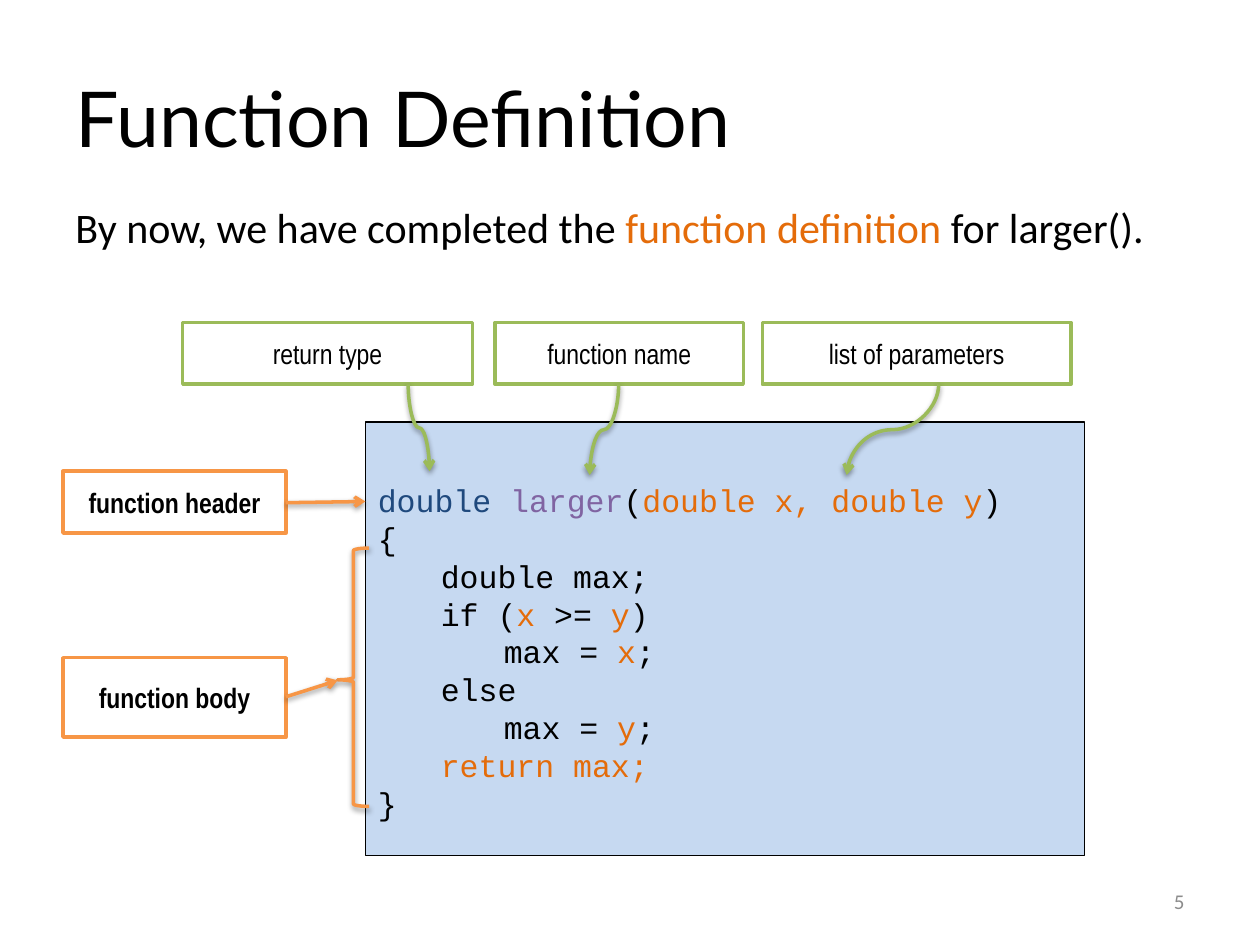
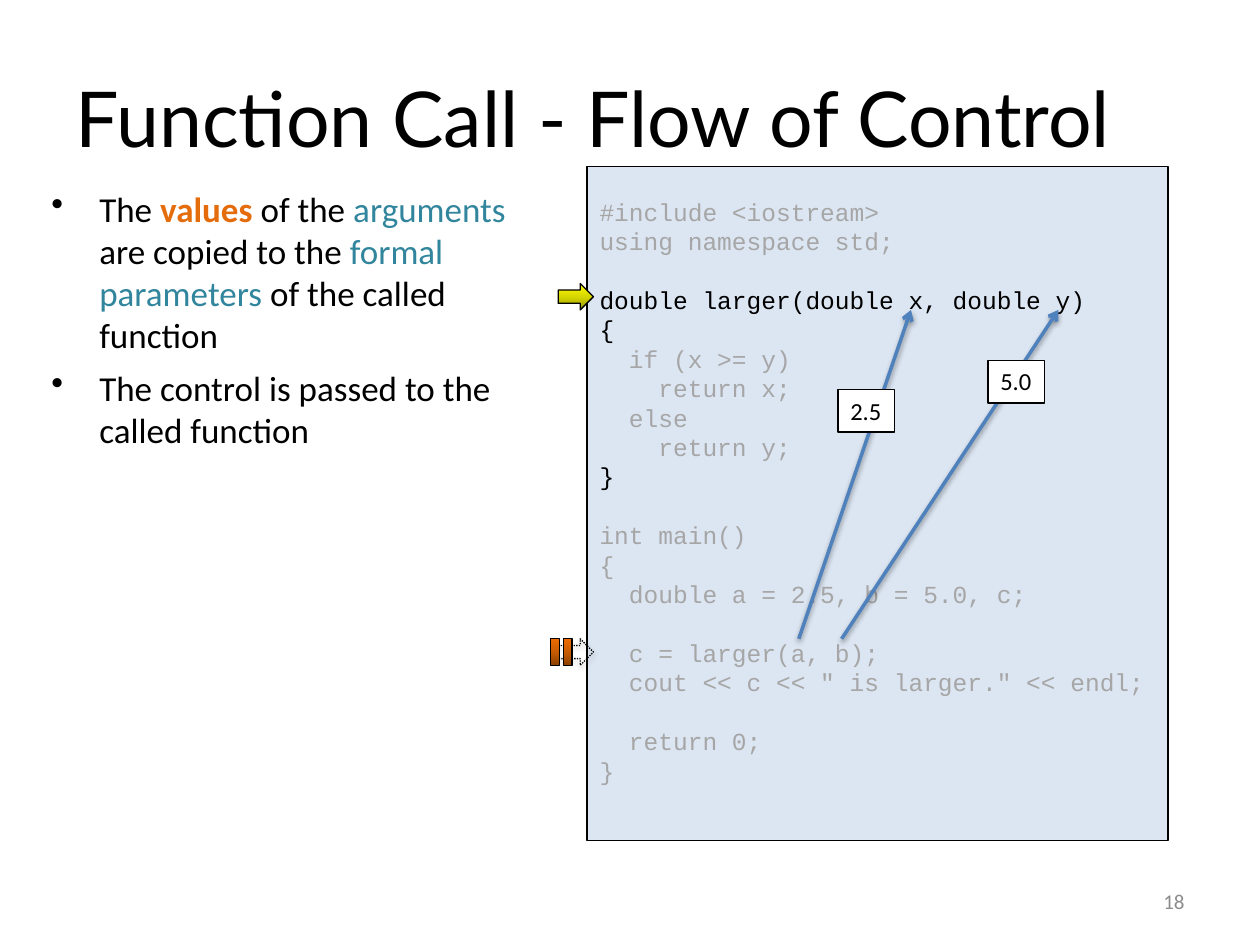
from copy import deepcopy

from lxml.etree import SubElement
from pptx import Presentation
from pptx.dml.color import RGBColor
from pptx.enum.dml import MSO_LINE
from pptx.enum.shapes import MSO_CONNECTOR, MSO_SHAPE
from pptx.enum.text import MSO_ANCHOR, PP_ALIGN
from pptx.oxml.ns import qn
from pptx.util import Emu, Pt

PX = 9144  # 100 px to the inch

BLACK, WHITE, GREY, FADED = "000000", "FFFFFF", "8C8C8C", "A6A6A6"
ORANGE_TEXT, TEAL, NAVY, PURPLE = "E46C0A", "31859C", "1F497D", "8064A2"
ORANGE, GREEN, BLUE = "F79646", "9BBB59", "4F81BD"
CODE_BLUE, CODE_PALE = "C6D9F1", "DCE6F2"
YELLOW_FADE = ("979700", "D7D700", "FFFF00")
ORANGE_FADE = ("8D4000", "C85B00", "EE6B00")
TITLE_FONT, BODY_FONT, CODE_FONT, LABEL_FONT = "Lato", "Calibri", "Courier New", "Arial Narrow"


def px(length):
    return Emu(round(length * PX))


def rgb(color):
    return RGBColor.from_string(color)


def add_element(parent, tag, **attributes):
    return SubElement(parent, qn(tag), {key: str(value) for key, value in attributes.items()})


def write_text(frame, paragraphs, size=18, font=BODY_FONT, color=BLACK, bold=False,
               align=PP_ALIGN.LEFT, anchor=MSO_ANCHOR.TOP, wrap=True, line_pitch=None,
               space_before=0, bullet_indent=0, tabs=()):
    """Write paragraphs made of runs; a run is text or (text, color, bold).

    An empty paragraph becomes one line of space before the next one.
    """
    frame.word_wrap, frame.vertical_anchor = wrap, anchor
    blank_space, first = 0, True
    for runs in paragraphs:
        if not runs:
            blank_space = line_pitch
            continue
        paragraph = frame.paragraphs[0] if first else frame.add_paragraph()
        properties = paragraph._p.get_or_add_pPr()
        if bullet_indent:
            properties.set("marL", str(px(bullet_indent)))
            properties.set("indent", str(px(-bullet_indent)))
            add_element(add_element(properties, "a:buClr"), "a:srgbClr", val=BLACK)
            add_element(properties, "a:buChar", char="•")
        if tabs:
            tab_list = add_element(properties, "a:tabLst")
            for position in tabs:
                add_element(tab_list, "a:tab", pos=px(position), algn="l")
        paragraph.alignment = align
        paragraph.space_before = Pt(0 if first else space_before + blank_space)
        if line_pitch:
            paragraph.line_spacing = Pt(line_pitch)
        for part in [runs] if isinstance(runs, str) else runs:
            text, run_color, run_bold = ((part,) if isinstance(part, str) else part) + (None,) * (
                2 if isinstance(part, str) else 3 - len(part))
            run = paragraph.add_run()
            run.text = text
            run.font.name, run.font.size = font, Pt(size)
            run.font.bold = bold if run_bold is None else run_bold
            run.font.color.rgb = rgb(run_color or color)
        blank_space, first = 0, False


class Deck:
    def __init__(self):
        self.presentation = Presentation()
        self.presentation.slide_width, self.presentation.slide_height = px(1000), px(750)
        self.slide = None

    def new_slide(self, title, number):
        self.slide = self.presentation.slides.add_slide(self.presentation.slide_layouts[5])
        shape = self.slide.shapes.title
        shape.left, shape.top, shape.width, shape.height = map(px, (50, 30, 900, 125))
        write_text(shape.text_frame, [title], size=44, font=TITLE_FONT, anchor=MSO_ANCHOR.MIDDLE)
        self.text([number], 717, 695, 233, 40, size=12, color=GREY,
                  align=PP_ALIGN.RIGHT, anchor=MSO_ANCHOR.MIDDLE)

    def text(self, paragraphs, left, top, width, height, **text_format):
        box = self.slide.shapes.add_textbox(*map(px, (left, top, width, height)))
        write_text(box.text_frame, paragraphs, **text_format)

    def shape(self, kind, left, top, width, height, fill=None, line=BLACK, weight=0.75):
        shape = self.slide.shapes.add_shape(kind, *map(px, (left, top, width, height)))
        shape.shadow.inherit = False
        shape.line.color.rgb, shape.line.width = rgb(line), Pt(weight)
        if isinstance(fill, tuple):
            self.fade(shape, fill)
        elif fill:
            shape.fill.solid()
            shape.fill.fore_color.rgb = rgb(fill)
        else:
            shape.fill.background()
        return shape

    def fade(self, shape, colors):
        """Fill from the bottom up through three colours."""
        shape.fill.gradient()
        shape.fill.gradient_angle = 90
        first_stop = shape._element.spPr.find(qn("a:gradFill")).find(qn("a:gsLst"))[0]
        first_stop.addnext(deepcopy(first_stop))
        for stop, color, position in zip(shape.fill.gradient_stops, colors, (0, 0.5, 1)):
            stop.color.rgb, stop.position = rgb(color), position

    def cast_shadow(self, shape):
        properties = shape._element.spPr
        effects = properties.find(qn("a:effectLst"))
        if effects is None:
            effects = add_element(properties, "a:effectLst")
        shadow = add_element(effects, "a:outerShdw", blurRad=Pt(3.1), dist=Pt(1.6),
                             dir=5400000, rotWithShape=0)
        add_element(add_element(shadow, "a:srgbClr", val=BLACK), "a:alpha", val=38000)

    def label(self, text, left, top, width, height, line, bold=False):
        shape = self.shape(MSO_SHAPE.RECTANGLE, left, top, width, height, WHITE, line, 2)
        write_text(shape.text_frame, [text], size=16, font=LABEL_FONT, bold=bold,
                   align=PP_ALIGN.CENTER, anchor=MSO_ANCHOR.MIDDLE)

    def code(self, lines, left, top, width, height, fill, inset, size, **text_format):
        shape = self.shape(MSO_SHAPE.RECTANGLE, left, top, width, height, fill)
        shape.text_frame.margin_top = px(inset)
        write_text(shape.text_frame, lines, size=size, font=CODE_FONT,
                   line_pitch=size * 1.2, **text_format)

    def value(self, text, left, top):
        shape = self.shape(MSO_SHAPE.RECTANGLE, left, top, 45, 34, WHITE)
        write_text(shape.text_frame, [text], size=14, wrap=False)

    def arrow(self, start, end, color, kind=MSO_CONNECTOR.STRAIGHT, rotation=0):
        arrow = self.slide.shapes.add_connector(kind, *map(px, (*start, *end)))
        arrow.line.color.rgb, arrow.line.width = rgb(color), Pt(2)
        add_element(arrow.line._get_or_add_ln(), "a:tailEnd", type="arrow")
        if rotation:
            arrow._element.spPr.find(qn("a:xfrm")).set("rot", str(rotation * 60000))
        self.cast_shadow(arrow)

    def curved_arrow(self, start, end, color):
        """Leave and arrive vertically: a curve lying on its side, turned upright."""
        (x1, y1), (x2, y2) = start, end
        middle_x, middle_y = (x1 + x2) / 2, (y1 + y2) / 2
        side = 1 if x2 > x1 else -1
        run, rise = side * (y2 - y1) / 2, abs(x2 - x1) / 2
        self.arrow((middle_x + run, middle_y - rise), (middle_x - run, middle_y + rise),
                   color, MSO_CONNECTOR.CURVE, 270 if side > 0 else 90)


def function_definition(deck):
    deck.new_slide("Function Definition", "5")
    deck.text([["By now, we have completed the ", ("function definition ", ORANGE_TEXT),
                "for larger()."]], 50, 155, 900, 515, size=24)

    # Code
    x, y = ("x", ORANGE_TEXT), ("y", ORANGE_TEXT)
    deck.code([
        [("double ", NAVY), ("larger", PURPLE), "(", ("double x, double y", ORANGE_TEXT), ")"],
        "{",
        "\tdouble max;",
        ["\tif (", x, " >= ", y, ")"],
        ["\t\tmax = ", x, ";"],
        "\telse",
        ["\t\tmax = ", y, ";"],
        [("\treturn max;", ORANGE_TEXT)],
        "}",
    ], 290, 335, 571, 344, CODE_BLUE, inset=47, size=18, tabs=(50, 100))

    # Header and body labels
    for text, top, height in (("function header", 374, 49), ("function body", 522, 63)):
        deck.label(text, 50, top, 177, height, ORANGE, bold=True)
    brace = deck.shape(MSO_SHAPE.LEFT_BRACE, 268, 435, 25, 205, line=ORANGE, weight=2)
    brace.adjustments[0], brace.adjustments[1] = 0.08, 0.51
    deck.cast_shadow(brace)
    deck.arrow((227, 399), (290, 398), ORANGE)
    deck.arrow((227, 553), (268, 540), ORANGE)

    # Labels for the parts of the header
    for text, left, width, start, end in (
        ("return type", 145, 230, 324, (341, 374)),
        ("function name", 393, 197, 491, (468, 377)),
        ("list of parameters", 605, 245, 745, (672, 377)),
    ):
        deck.label(text, left, 256, width, 49, GREEN)
        deck.curved_arrow((start, 305), end, GREEN)


def flow_of_control(deck):
    deck.new_slide("Function Call - Flow of Control", "18")
    deck.text([
        ["The ", ("values", ORANGE_TEXT, True), " of the ", ("arguments", TEAL),
         " are copied to the ", ("formal parameters", TEAL), " of the called function"],
        "The control is passed to the called function",
    ], 31, 144, 406, 537, size=20, space_before=6, bullet_indent=38)

    # Code, with the active lines in black
    deck.code([
        "#include <iostream>",
        "using namespace std;",
        "",
        [("double larger(double x, double y)", BLACK)],
        [("{", BLACK)],
        "  if (x >= y)",
        "    return x;",
        "  else",
        "    return y;",
        [("}", BLACK)],
        "",
        "int main()",
        "{",
        "  double a = 2.5, b = 5.0, c;",
        "",
        "  c = larger(a, b);",
        '  cout << c << " is larger." << endl;',
        "",
        "  return 0;",
        "}",
    ], 466, 132, 461, 535, CODE_PALE, inset=24, size=14, color=FADED)

    # Current line and paused line
    deck.shape(MSO_SHAPE.RIGHT_ARROW, 443, 225, 28, 21, YELLOW_FADE)
    paused_arrow = deck.shape(MSO_SHAPE.RIGHT_ARROW, 443, 507, 28, 21)
    paused_arrow.line.dash_style = MSO_LINE.ROUND_DOT
    deck.cast_shadow(paused_arrow)
    for left in (437, 447):
        deck.shape(MSO_SHAPE.RECTANGLE, left, 507, 7, 21, ORANGE_FADE)

    # Arguments copied to parameters
    for argument_x, parameter_x in ((634, 723), (668, 840)):
        deck.arrow((argument_x, 507), (parameter_x, 246), BLUE)
    deck.value("2.5", 665, 309)
    deck.value("5.0", 784, 286)


def main():
    deck = Deck()
    function_definition(deck)
    flow_of_control(deck)
    deck.presentation.save("out.pptx")


if __name__ == "__main__":
    main()
